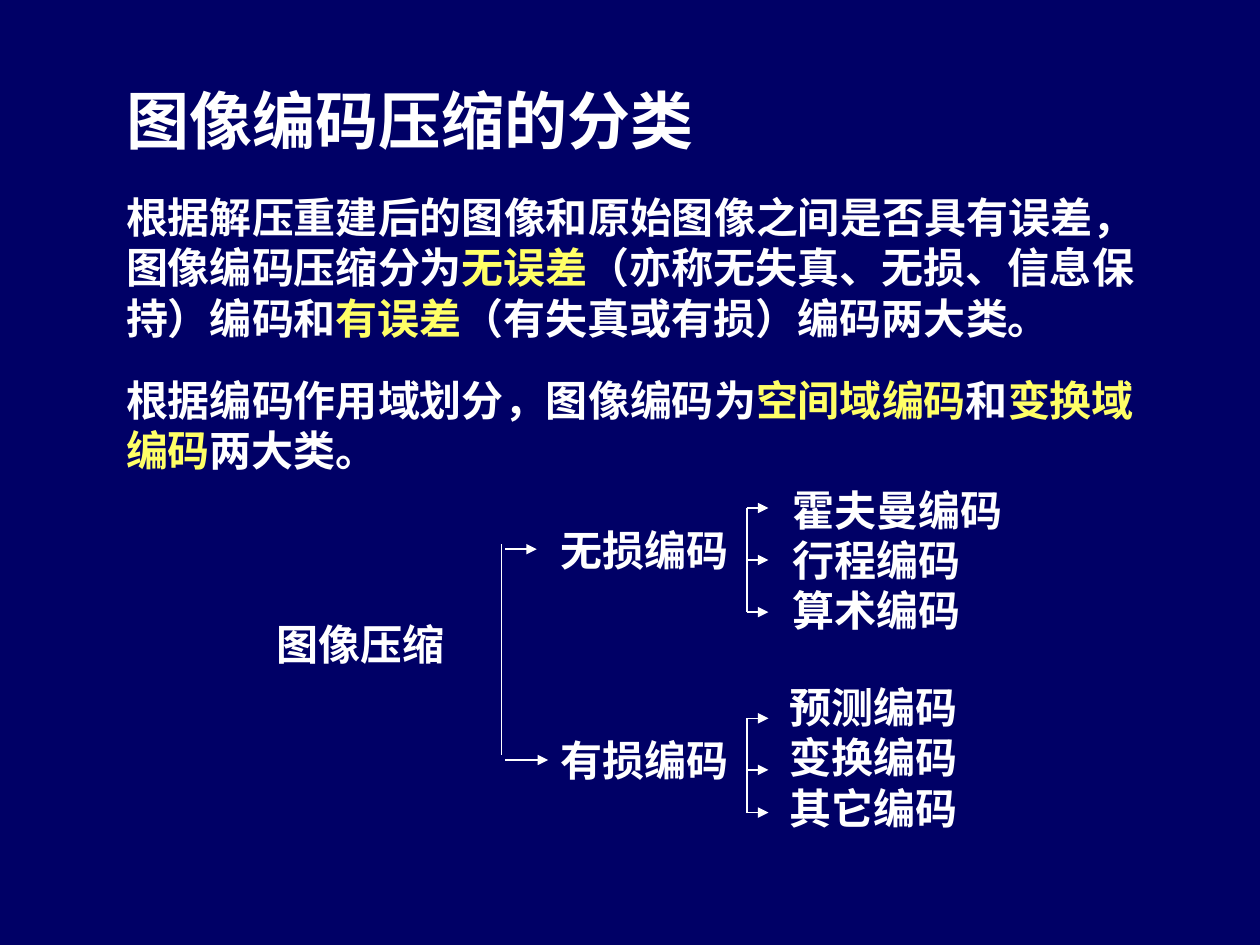
"""Build a slide that classifies image compression coding methods."""
from lxml import etree
from pptx import Presentation
from pptx import util as u
from pptx.dml.color import RGBColor
from pptx.enum import shapes, text
from pptx.oxml.ns import qn

COLORS = {"background": "000066", "text": "FFFFFF", "accent": "FFFF66"}
FRAME = {
    "auto_size": text.MSO_AUTO_SIZE.NONE,
    "vertical_anchor": text.MSO_ANCHOR.TOP,
    "margin_left": u.Cm(0.25), "margin_right": u.Cm(0.25),
    "margin_top": u.Cm(0.13), "margin_bottom": u.Cm(0.13),
}


def write(shape, box, paragraphs, font_name, size=24, wrap=True, gap=0):
    shape.left, shape.top, shape.width, shape.height = map(u.Cm, box)
    frame = shape.text_frame
    for name, value in {**FRAME, "word_wrap": wrap}.items():
        setattr(frame, name, value)
    for index, runs in enumerate(paragraphs):
        paragraph = frame.paragraphs[0] if index == 0 else frame.add_paragraph()
        if shape.is_placeholder:
            properties = paragraph._p.get_or_add_pPr()
            properties.set("marL", "0")
            properties.set("indent", "0")
            etree.SubElement(properties, qn("a:buNone"))
        paragraph.alignment = text.PP_ALIGN.LEFT
        paragraph.space_before = u.Pt(gap if index else 0)
        for content, color in runs:
            run = paragraph.add_run()
            run.text = content
            for name, value in {"name": font_name, "size": u.Pt(size), "bold": True}.items():
                setattr(run.font, name, value)
            run.font.color.rgb = RGBColor.from_string(COLORS[color])


def draw_line(start, end, arrow=False):
    line = slide.shapes.add_connector(shapes.MSO_CONNECTOR.STRAIGHT, *map(u.Cm, start + end))
    line.line.width = u.Pt(0.75)
    line.line.color.rgb = RGBColor.from_string(COLORS["text"])
    if arrow:
        etree.SubElement(line.line._get_or_add_ln(), qn("a:tailEnd"), type="triangle")
    etree.SubElement(line._element.spPr, qn("a:effectLst"))


presentation = Presentation()
presentation.slide_width, presentation.slide_height = u.Cm(25.4), u.Cm(19.05)
slide = presentation.slides.add_slide(presentation.slide_layouts[1])
slide.background.fill.solid()
slide.background.fill.fore_color.rgb = RGBColor.from_string(COLORS["background"])

write(slide.shapes.title, (2.29, 1.52, 21.39, 1.85),
      [[("图像编码压缩的分类", "text")]], "Noto Sans CJK SC", size=36)
write(slide.placeholders[1], (2.29, 3.73, 21.39, 5.97), [
    [("根据解压重建后的图像和原始图像之间是否具有误差，图像编码压缩分为", "text"),
     ("无误差", "accent"), ("（亦称无失真、无损、信息保持）编码和", "text"),
     ("有误差", "accent"), ("（有失真或有损）编码两大类。", "text")],
    [("根据编码作用域划分，图像编码为", "text"), ("空间域编码", "accent"),
     ("和", "text"), ("变换域编码", "accent"), ("两大类。", "text")],
], "Noto Sans CJK SC", gap=18)

labels = [
    ((5.33, 12.34, 4.24, 1.27), ["图像压缩"], "Noto Sans CJK SC", True),
    ((11.05, 10.44, 3.89, 1.27), ["无损编码"], "Times New Roman", False),
    ((11.05, 14.68, 3.89, 1.27), ["有损编码"], "Times New Roman", False),
    ((15.72, 9.63, 4.72, 3.3), ["霍夫曼编码", "行程编码", "算术编码"], "Times New Roman", False),
    ((15.67, 13.61, 3.89, 3.3), ["预测编码", "变换编码", "其它编码"], "Times New Roman", False),
]
for box, lines, font_name, wrap in labels:
    label = slide.shapes.add_textbox(*map(u.Cm, box))
    write(label, box, [[(line, "text")] for line in lines], font_name, wrap=wrap)

draw_line((10.11, 10.97), (10.11, 15.21))
for y, end_x in ((11.07, 10.82), (15.32, 11.05)):
    draw_line((10.19, y), (end_x, y), arrow=True)

for levels in ((10.24, 11.29, 12.34), (14.48, 15.52, 16.38)):
    draw_line((15.06, levels[0]), (15.06, levels[-1]))
    for y in levels:
        draw_line((15.06, y), (15.49, y), arrow=True)

presentation.save("out.pptx")
